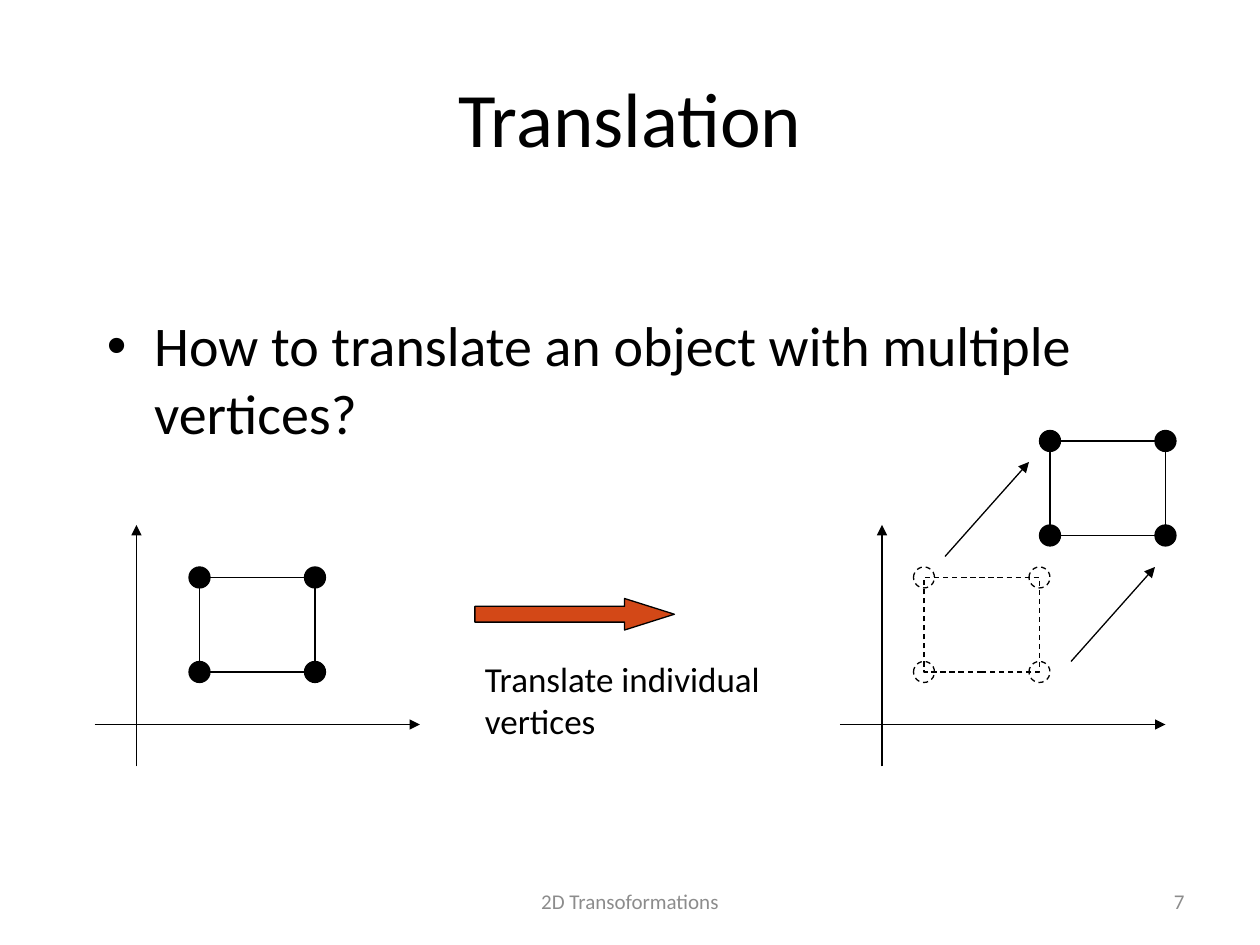
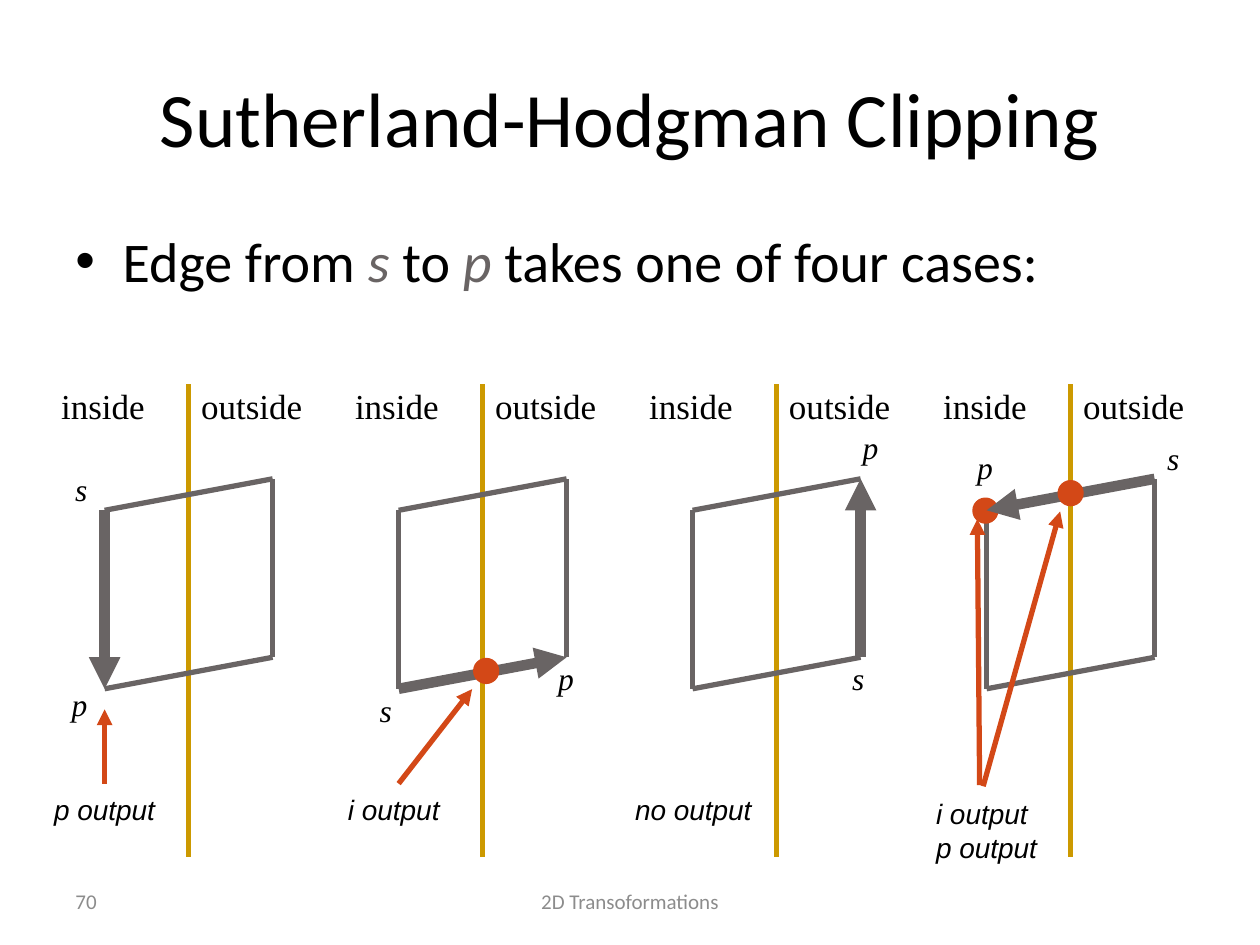
from lxml import etree
from pptx import Presentation
from pptx.dml.color import RGBColor
from pptx.enum.dml import MSO_LINE
from pptx.enum.shapes import MSO_CONNECTOR, MSO_SHAPE
from pptx.enum.text import MSO_ANCHOR, MSO_AUTO_SIZE, PP_ALIGN
from pptx.oxml.ns import qn
from pptx.util import Pt

STRAIGHT = MSO_CONNECTOR.STRAIGHT
RECTANGLE, ELLIPSE, RIGHT_ARROW = MSO_SHAPE.RECTANGLE, MSO_SHAPE.OVAL, MSO_SHAPE.RIGHT_ARROW
DASH = MSO_LINE.DASH
TOP, MIDDLE = MSO_ANCHOR.TOP, MSO_ANCHOR.MIDDLE
LEFT, CENTER, RIGHT = PP_ALIGN.LEFT, PP_ALIGN.CENTER, PP_ALIGN.RIGHT
FIT_TEXT = MSO_AUTO_SIZE.SHAPE_TO_FIT_TEXT

COLORS = {
    "black": "000000",
    "white": "FFFFFF",
    "gray": "696464",
    "footer": "8C8C8C",
    "orange": "D34817",
    "gold": "CC9900",
}

# Text styles: font values, plus the colour key
TITLE = {"name": "Calibri", "size": Pt(44), "color": "black"}
BODY = {"name": "Calibri", "size": Pt(32), "color": "black"}
CAPTION = {"name": "Calibri", "size": Pt(20), "color": "black"}
FOOTER = {"name": "Calibri", "size": Pt(12), "color": "footer"}
SIDE = {"name": "Times New Roman", "size": Pt(20), "color": "black"}
VERTEX = {"name": "Times New Roman", "size": Pt(18), "italic": True, "color": "black"}
OUTPUT = {"name": "Arial", "size": Pt(16), "italic": True, "color": "black"}
VARIABLE = {"italic": True, "color": "gray"}

FOOTER_TOP, FOOTER_HEIGHT = 500.4, 28.8
BULLET_INDENT = 27
DOT = 12


def rgb(key):
    return RGBColor.from_string(COLORS[key])


class SlideBuilder:
    """Holds the deck and the slide being drawn; all lengths are in points."""

    def __init__(self):
        self.deck = Presentation()
        self.deck.slide_width, self.deck.slide_height = Pt(720), Pt(540)
        self.slide = None

    def new_slide(self, title, number, number_left, number_align):
        self.slide = self.deck.slides.add_slide(self.deck.slide_layouts[6])
        self.text((36, 21.6, 648, 90), [title], TITLE, anchor=MIDDLE, align=CENTER)
        footers = [(number, number_left, 168, number_align),
                   ("2D Transoformations", 246, 228, CENTER)]
        for words, left, width, align in footers:
            self.text((left, FOOTER_TOP, width, FOOTER_HEIGHT), [words], FOOTER,
                      anchor=MIDDLE, align=align)

    def text(self, area, lines, style, anchor=TOP, align=LEFT, fit=False, fill=None):
        """Each line is a string or a list of (words, style changes)."""
        box = self.slide.shapes.add_textbox(*map(Pt, area))
        if fill:
            box.fill.solid()
            box.fill.fore_color.rgb = rgb(fill)
        frame = box.text_frame
        settings = {"word_wrap": not fit, "vertical_anchor": anchor}
        if fit:
            settings["auto_size"] = FIT_TEXT
        for name, value in settings.items():
            setattr(frame, name, value)
        for index, line in enumerate(lines):
            para = frame.add_paragraph() if index else frame.paragraphs[0]
            para.alignment = align
            spans = [(line, {})] if isinstance(line, str) else line
            for words, changes in spans:
                span = para.add_run()
                span.text = words
                for name, value in {**style, **changes}.items():
                    if name == "color":
                        span.font.color.rgb = rgb(value)
                    else:
                        setattr(span.font, name, value)
        return box

    def bullet(self, area, spans):
        box = self.text(area, [spans], BODY)
        properties = box.text_frame.paragraphs[0]._p.get_or_add_pPr()
        properties.set("marL", str(Pt(BULLET_INDENT)))
        properties.set("indent", str(-Pt(BULLET_INDENT)))
        etree.SubElement(properties, qn("a:buFont"), typeface="Arial")
        etree.SubElement(properties, qn("a:buChar"), char="•")

    def shape(self, kind, area, fill=None, line="black", width=0.75, dash=None):
        shape = self.slide.shapes.add_shape(kind, *map(Pt, area))
        shape.shadow.inherit = False
        if fill:
            shape.fill.solid()
            shape.fill.fore_color.rgb = rgb(fill)
        else:
            shape.fill.background()
        shape.line.color.rgb = rgb(line)
        shape.line.width = Pt(width)
        if dash:
            shape.line.dash_style = dash
        return shape

    def dot(self, x, y, **look):
        self.shape(ELLIPSE, (x - DOT / 2, y - DOT / 2, DOT, DOT), **look)

    def line(self, start, end, color="black", width=0.75, arrow=False):
        line = self.slide.shapes.add_connector(STRAIGHT, *map(Pt, (*start, *end)))
        line.line.color.rgb = rgb(color)
        line.line.width = Pt(width)
        if arrow:
            etree.SubElement(line.line._get_or_add_ln(), qn("a:tailEnd"), type="triangle")
        etree.SubElement(line._element.spPr, qn("a:effectLst"))

    # Parts of the translation diagram
    def axes(self, left):
        self.line((left, 414), (left + 186, 414), arrow=True)
        self.line((left + 24, 438), (left + 24, 300), arrow=True)

    def square(self, left, top, dot_fill="black", dash=None):
        width, height = 66, 54
        self.shape(RECTANGLE, (left, top, width, height), dash=dash)
        for y in (top + height, top):
            for x in (left, left + width):
                self.dot(x, y, fill=dot_fill, dash=dash)

    # One case of the clipping diagram; x values count from the clip line
    def clip_case(self, index, case):
        clip_x = 107.8 + 168 * index

        def at(point):
            return clip_x + point[0], point[1]

        self.line((clip_x, 219.6), (clip_x, 489.6), "gold", 3)
        for words, left, width in (("inside", -80, 65), ("outside", 0, 75)):
            self.text((clip_x + left, 216, width, 31), [words], SIDE, MIDDLE, fit=True)

        # The edge with the same index as the case runs from s to p
        corners = [at(corner) for corner in CORNERS]
        edges = list(zip(corners, corners[1:] + corners[:1]))
        for edge in edges[:index] + edges[index + 1:]:
            self.line(*edge, "gray", 3)

        for letter, width in (("s", 24), ("p", 26.4)):
            self.text((*at(case[letter]), width, 36), [letter], VERTEX, MIDDLE, fit=True)
        left, top, width, height = case["box"]
        self.text((clip_x + left, top, width, height), case["output"], OUTPUT, MIDDLE,
                  fit=True, fill="white")

        for start, end in case.get("pointers", []):
            self.line(at(start), at(end), "orange", 3, arrow=True)
        dot_look = {"fill": "orange", "line": "orange", "width": 3}
        if "p_dot" in case:
            self.dot(*at(case["p_dot"]), **dot_look)
        self.line(*edges[index], "gray", 6, arrow=True)
        if "i_dot" in case:
            self.dot(*at(case["i_dot"]), **dot_look)


CORNERS = [(-48, 291.6), (-48, 393.6), (48, 375.6), (48, 273.6)]
CASES = [
    {"s": (-72, 261.4), "p": (-74, 384),
     "output": ["p output"], "box": (-84, 449.3, 72.7, 26.6),
     "pointers": [((-48, 447.8), (-48, 405.4))]},
    {"s": (-66, 387.4), "p": (36, 369.4),
     "output": ["i output"], "box": (-84, 449.3, 67, 26.6),
     "pointers": [((-48, 447.8), (-6, 393.8))], "i_dot": (2, 383.4)},
    {"s": (36, 369.4), "p": (42, 237.6),
     "output": ["no output"], "box": (-88, 449.3, 81.4, 26.6)},
    {"s": (48, 243.4), "p": (-60.5, 248.6),
     "output": ["i output", "p output"], "box": (-84, 451.4, 72.7, 46),
     "pointers": [((-50, 449.3), (-6, 292.3)), ((-52, 448.6), (-53.3, 296.6))],
     "p_dot": (-48.7, 291.8), "i_dot": (0, 281.8)},
]


def translation_slide(builder):
    builder.new_slide("Translation", "7", 516, RIGHT)
    builder.bullet((54, 174.2, 612, 324),
                   [("How to translate an object with multiple vertices?", {})])

    # Before
    builder.axes(54)
    builder.square(114, 330)

    # Step
    step = builder.shape(RIGHT_ARROW, (271.4, 342, 114, 18), fill="orange")
    step.adjustments[0], step.adjustments[1] = 0.5, 1.58
    builder.text((270, 372.4, 186, 55.4), ["Translate individual", "vertices"], CAPTION,
                 fit=True)

    # After
    builder.axes(480)
    builder.square(600, 252)
    builder.square(528, 330, dot_fill=None, dash=DASH)
    for x, y in ((540, 318), (612, 378)):
        builder.line((x, y), (x + 48, y - 54), arrow=True)


def clipping_slide(builder):
    builder.new_slide("Sutherland-Hodgman Clipping", "70", 36, LEFT)
    builder.bullet((36, 126, 648, 356.4),
                   [("Edge from ", {}), ("s", VARIABLE), (" to ", {}), ("p ", VARIABLE),
                    ("takes one of four cases:", {})])
    for index, case in enumerate(CASES):
        builder.clip_case(index, case)


def main():
    builder = SlideBuilder()
    translation_slide(builder)
    clipping_slide(builder)
    builder.deck.save("out.pptx")


if __name__ == "__main__":
    main()
